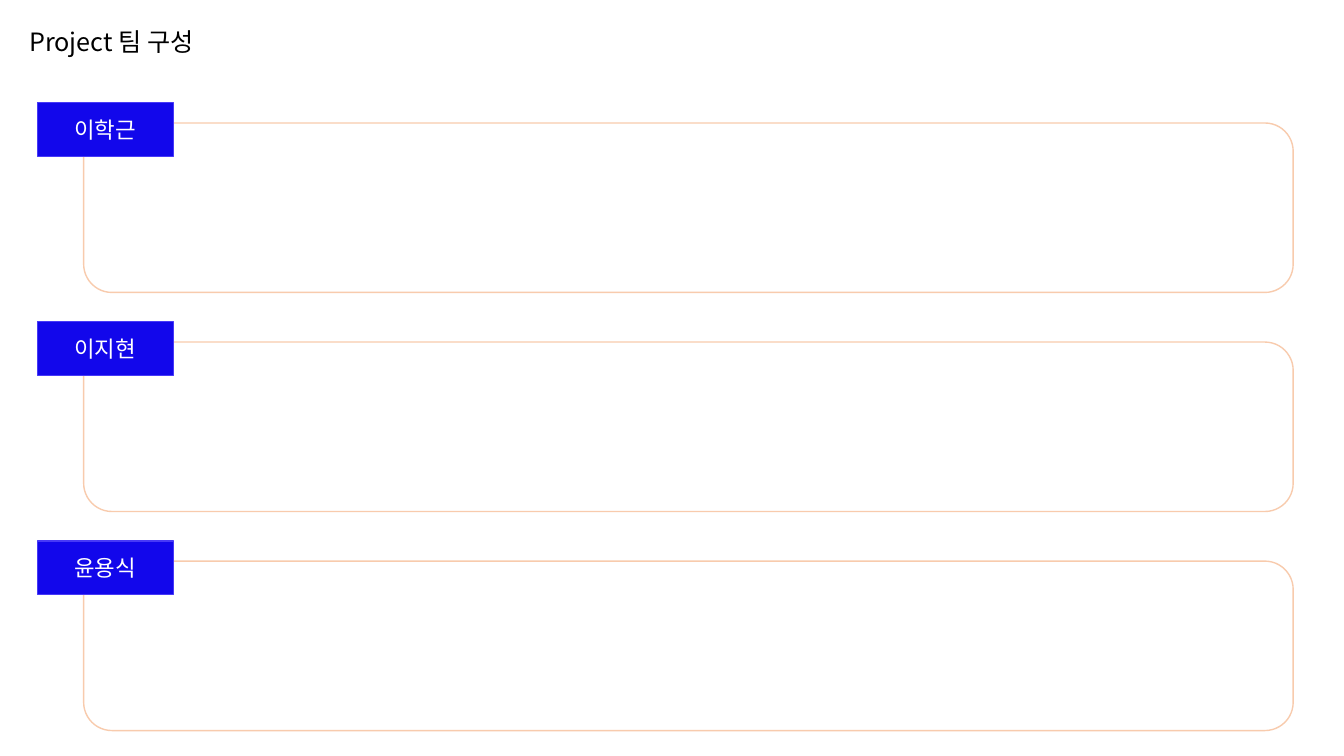
from dataclasses import dataclass

from lxml import etree
from pptx import Presentation
from pptx.dml.color import RGBColor
from pptx.enum.shapes import MSO_SHAPE
from pptx.enum.text import MSO_ANCHOR, PP_ALIGN
from pptx.oxml.ns import qn
from pptx.util import Cm, Pt

RECTANGLE = MSO_SHAPE.RECTANGLE
ROUNDED_RECTANGLE = MSO_SHAPE.ROUNDED_RECTANGLE
MIDDLE = MSO_ANCHOR.MIDDLE
LEFT = PP_ALIGN.LEFT
CENTER = PP_ALIGN.CENTER

TITLE = "Project 팀 구성"
MEMBERS = ["이학근", "이지현", "윤용식"]
FIRST_TAG_TOP = 2.59
MEMBER_PITCH = 5.52
FRAME_DROP = 0.51


@dataclass(frozen=True)
class Theme:
    font: str = "Noto Sans CJK KR"
    title_size: int = 18
    name_size: int = 16
    title_color: str = "000000"
    name_color: str = "FFFFFF"
    tag_fill: str = "1207EB"
    tag_line: str = "4739F7"
    frame_line: str = "F8CBAD"
    line_width: int = 1


class TeamSlide:
    def __init__(self, presentation, theme):
        self.theme = theme
        title_only = presentation.slide_layouts[5]
        self.slide = presentation.slides.add_slide(title_only)

    def set_text(self, shape, text, size, color, alignment):
        frame = shape.text_frame
        frame.word_wrap = True
        frame.vertical_anchor = MIDDLE
        paragraph = frame.paragraphs[0]
        paragraph.alignment = alignment
        run = paragraph.add_run()
        run.text = text
        run.font.name = self.theme.font
        run.font.size = Pt(size)
        run.font.color.rgb = RGBColor.from_string(color)
        # Hangul takes its typeface from the East Asian font element.
        run_properties = run._r.get_or_add_rPr()
        east_asian = etree.SubElement(run_properties, qn("a:ea"))
        east_asian.set("typeface", self.theme.font)
        run_properties.find(qn("a:latin")).addnext(east_asian)

    def title(self, text):
        title = self.slide.shapes.title
        title.left, title.top = Cm(0.48), Cm(0.53)
        title.width, title.height = Cm(6.91), Cm(1.02)
        self.set_text(title, text, self.theme.title_size, self.theme.title_color, LEFT)

    def box(self, kind, left, top, width, height, line_color):
        shape = self.slide.shapes.add_shape(
            kind, Cm(left), Cm(top), Cm(width), Cm(height)
        )
        shape.shadow.inherit = False
        shape.line.color.rgb = RGBColor.from_string(line_color)
        shape.line.width = Pt(self.theme.line_width)
        return shape

    def member_frame(self, top):
        frame = self.box(
            ROUNDED_RECTANGLE, 2.11, top, 30.48, 4.27, self.theme.frame_line
        )
        frame.fill.background()

    def name_tag(self, name, top):
        tag = self.box(RECTANGLE, 0.94, top, 3.43, 1.35, self.theme.tag_line)
        tag.fill.solid()
        tag.fill.fore_color.rgb = RGBColor.from_string(self.theme.tag_fill)
        self.set_text(tag, name, self.theme.name_size, self.theme.name_color, CENTER)


def main():
    presentation = Presentation()
    presentation.slide_width = Cm(33.87)
    presentation.slide_height = Cm(19.05)
    team = TeamSlide(presentation, Theme())
    team.title(TITLE)
    for index, name in enumerate(MEMBERS):
        tag_top = FIRST_TAG_TOP + index * MEMBER_PITCH
        team.member_frame(tag_top + FRAME_DROP)
        team.name_tag(name, tag_top)
    presentation.save("out.pptx")


if __name__ == "__main__":
    main()
